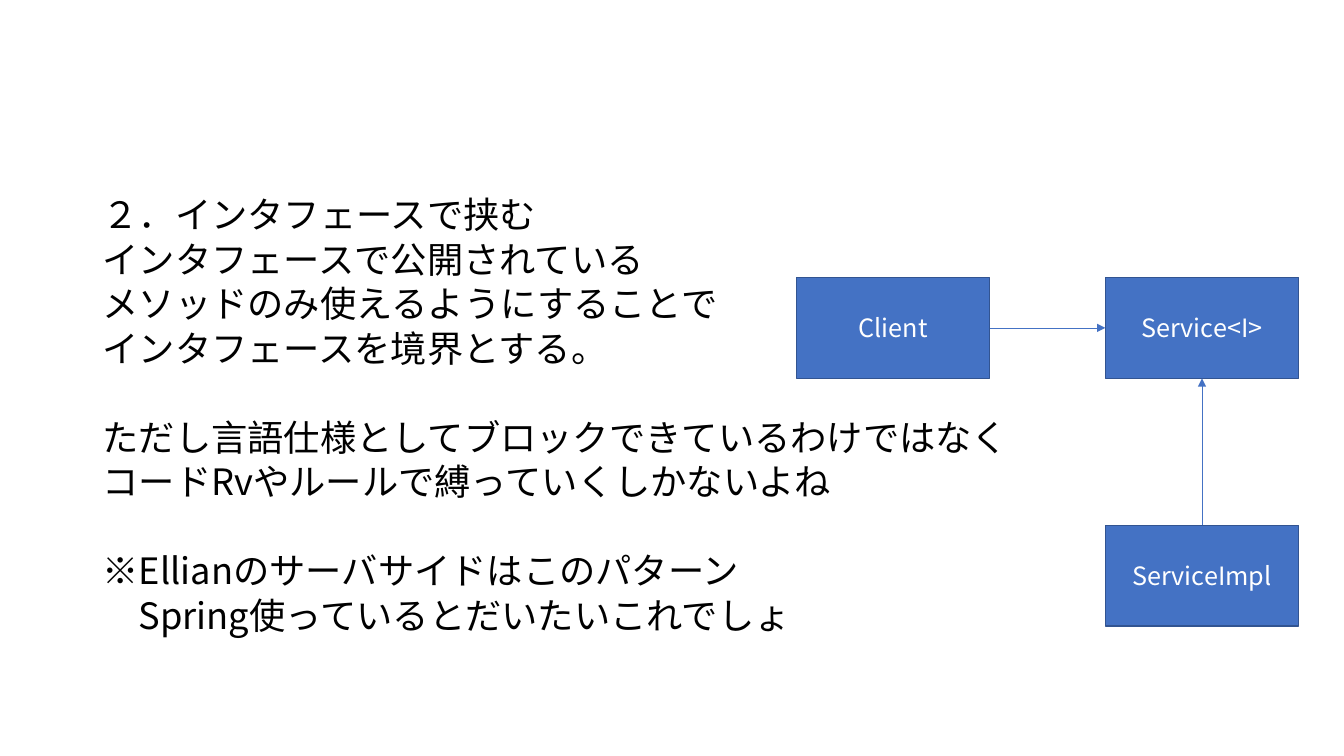
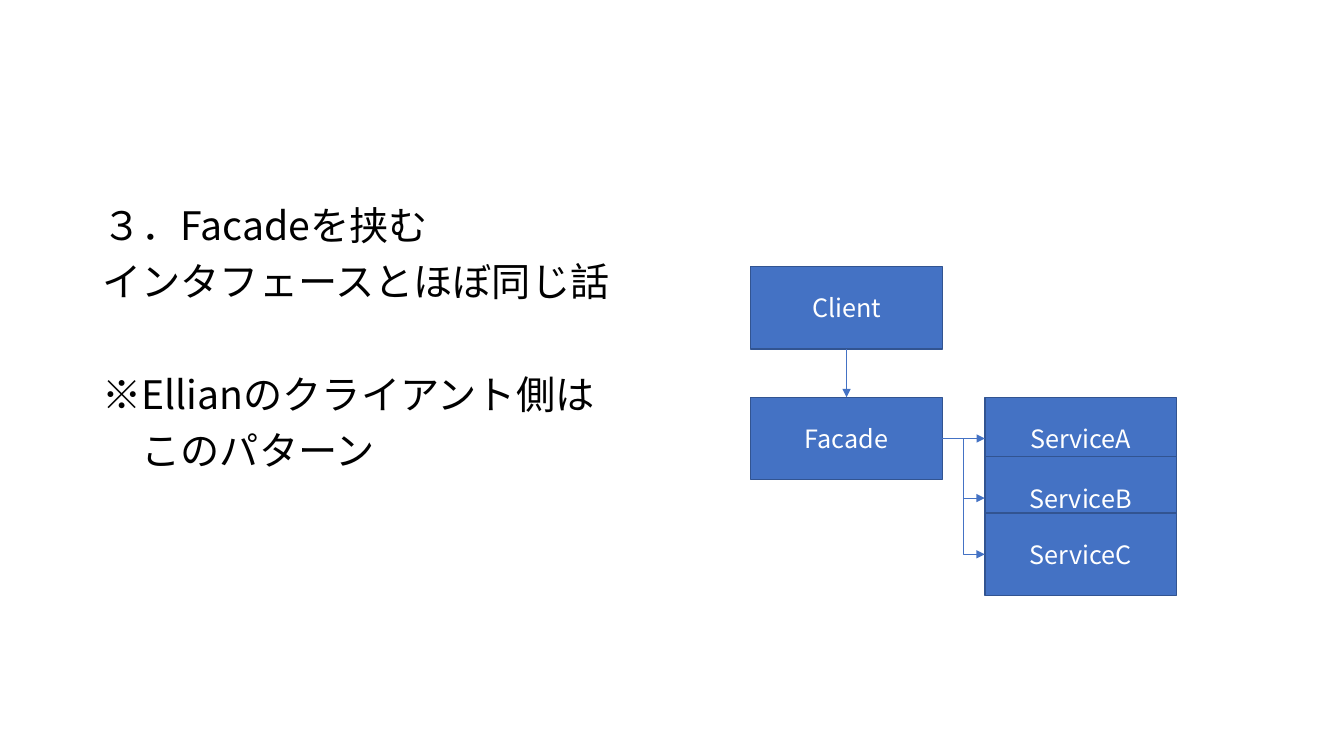
"""Build two slides on separating classes with an interface and with a facade."""
from dataclasses import dataclass

from lxml import etree
from pptx import Presentation
from pptx.dml.color import RGBColor
from pptx.enum import shapes, text
from pptx.oxml.ns import qn
from pptx.util import Pt


@dataclass(frozen=True)
class Theme:
    font: str = "Noto Sans CJK JP"
    ink: RGBColor = RGBColor(0, 0, 0)
    paper: RGBColor = RGBColor(255, 255, 255)
    box: RGBColor = RGBColor(0x44, 0x72, 0xC4)
    edge: RGBColor = RGBColor(0x32, 0x54, 0x91)
    label: float = 18
    edge_width: float = 1
    arrow_width: float = 0.5
    para_gap: float = 10
    line_height: float = 1.2


THEME = Theme()
WIDTH, HEIGHT = 960, 540
BODY_LEFT, BODY_WIDTH, BODY_HEIGHT = 66, 828, 343
TOP, LEFT, BOTTOM, RIGHT = range(4)
STRAIGHT = shapes.MSO_CONNECTOR.STRAIGHT
ELBOW = shapes.MSO_CONNECTOR.ELBOW

SLIDES = [
    {
        "body_top": 142.5, "size": 25.9, "spacing": 0.7,
        "groups": [
            ["２．インタフェースで挟む",
             "インタフェースで公開されている",
             "メソッドのみ使えるようにすることで",
             "インタフェースを境界とする。"],
            ["ただし言語仕様としてブロックできているわけではなく",
             "コードRvやルールで縛っていくしかないよね"],
            ["※Ellianのサーバサイドはこのパターン",
             "\u3000Spring使っているとだいたいこれでしょ"],
        ],
        "box_size": (138, 72),
        "boxes": {"Client": (569, 198.2), "Service<I>": (789.6, 198.2),
                  "ServiceImpl": (789.6, 375.2)},
        "arrows": [("Client", RIGHT, "Service<I>", LEFT, STRAIGHT),
                   ("ServiceImpl", TOP, "Service<I>", BOTTOM, STRAIGHT)],
    },
    {
        "body_top": 144, "size": 28, "spacing": 0.9,
        "groups": [
            ["３．Facadeを挟む",
             "インタフェースとほぼ同じ話"],
            ["※Ellianのクライアント側は",
             "\u3000このパターン"],
        ],
        "box_size": (136.8, 58.9),
        "boxes": {"ServiceA": (703.5, 283.8), "ServiceB": (703.5, 326.3),
                  "ServiceC": (703.5, 366.5), "Facade": (536.3, 283.8),
                  "Client": (536.3, 190.4)},
        "arrows": [("Client", BOTTOM, "Facade", TOP, STRAIGHT),
                   ("Facade", RIGHT, "ServiceA", LEFT, STRAIGHT),
                   ("Facade", RIGHT, "ServiceB", LEFT, ELBOW),
                   ("Facade", RIGHT, "ServiceC", LEFT, ELBOW)],
    },
]


def add_run(p, words, size, color):
    r = p.add_run()
    r.text = words
    r.font.size, r.font.name = Pt(size), THEME.font
    r.font.color.rgb = color
    etree.SubElement(r.font._element, qn("a:ea"), typeface=THEME.font)


def fill_body(sp, content):
    sp.left, sp.top = Pt(BODY_LEFT), Pt(content["body_top"])
    sp.width, sp.height = Pt(BODY_WIDTH), Pt(BODY_HEIGHT)
    tf = sp.text_frame
    tf.word_wrap, tf.auto_size = True, text.MSO_AUTO_SIZE.NONE
    size, spacing = content["size"], content["spacing"]
    group_gap = 2 * THEME.para_gap + size * spacing * THEME.line_height
    for g, group in enumerate(content["groups"]):
        for i, words in enumerate(group):
            p = tf.add_paragraph() if g or i else tf.paragraphs[0]
            p.line_spacing = spacing
            p.space_before = Pt(group_gap if g and not i else THEME.para_gap)
            pPr = p._p.get_or_add_pPr()
            pPr.set("marL", "0")
            pPr.set("indent", "0")
            etree.SubElement(pPr, qn("a:buNone"))
            add_run(p, words, size, THEME.ink)


def add_box(s, name, place, size):
    sp = s.shapes.add_shape(shapes.MSO_SHAPE.RECTANGLE, *map(Pt, place + size))
    sp.shadow.inherit = False
    sp.fill.solid()
    sp.fill.fore_color.rgb = THEME.box
    sp.line.color.rgb, sp.line.width = THEME.edge, Pt(THEME.edge_width)
    tf = sp.text_frame
    tf.vertical_anchor = text.MSO_ANCHOR.MIDDLE
    p = tf.paragraphs[0]
    p.alignment = text.PP_ALIGN.CENTER
    add_run(p, name, THEME.label, THEME.paper)
    return sp


def add_arrow(s, start, start_side, end, end_side, kind):
    line = s.shapes.add_connector(kind, 0, 0, 0, 0)
    line.begin_connect(start, start_side)
    line.end_connect(end, end_side)
    line.line.color.rgb, line.line.width = THEME.box, Pt(THEME.arrow_width)
    etree.SubElement(line.line._get_or_add_ln(), qn("a:tailEnd"), type="triangle")
    etree.SubElement(line._element.spPr, qn("a:effectLst"))


def build_slide(prs, content):
    s = prs.slides.add_slide(prs.slide_layouts[1])
    title = s.shapes.title._element
    title.getparent().remove(title)
    fill_body(s.placeholders[1], content)
    boxes = {name: add_box(s, name, place, content["box_size"])
             for name, place in content["boxes"].items()}
    for start, start_side, end, end_side, kind in content["arrows"]:
        add_arrow(s, boxes[start], start_side, boxes[end], end_side, kind)


prs = Presentation()
prs.slide_width, prs.slide_height = Pt(WIDTH), Pt(HEIGHT)
for content in SLIDES:
    build_slide(prs, content)
prs.save("out.pptx")
